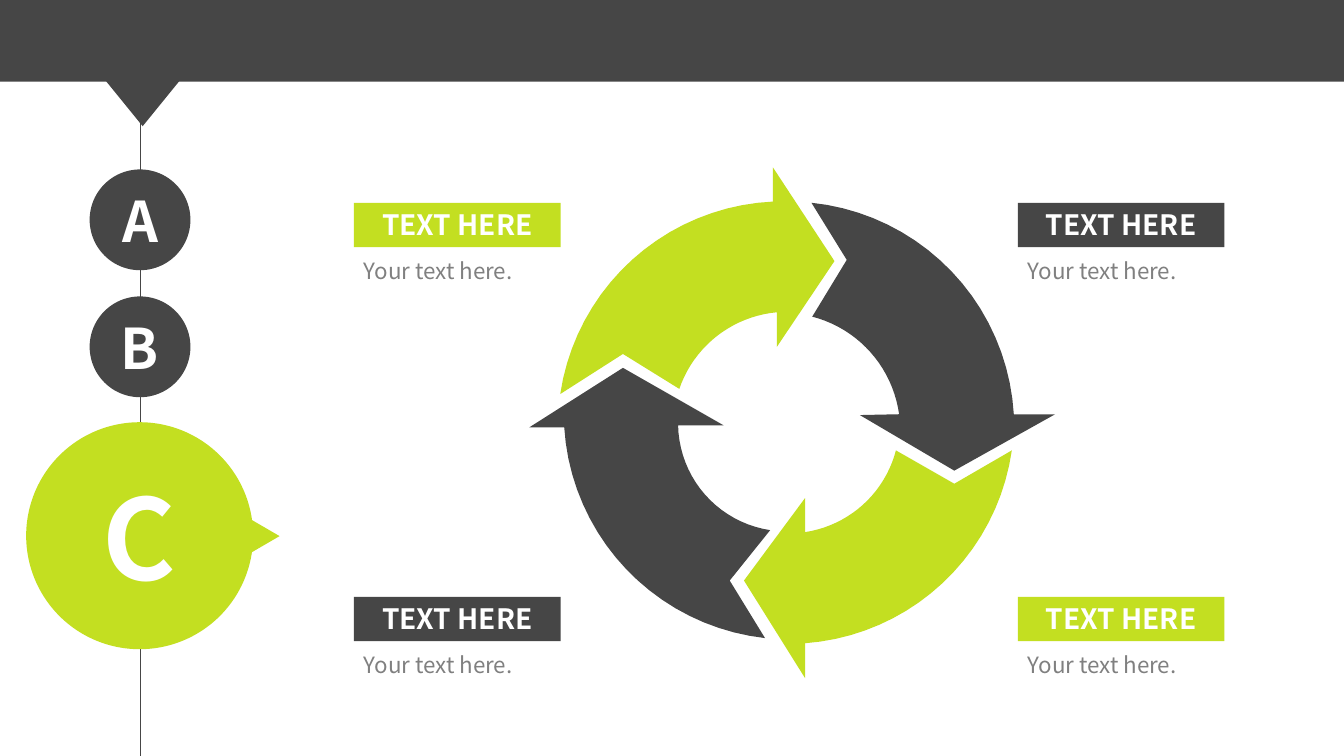
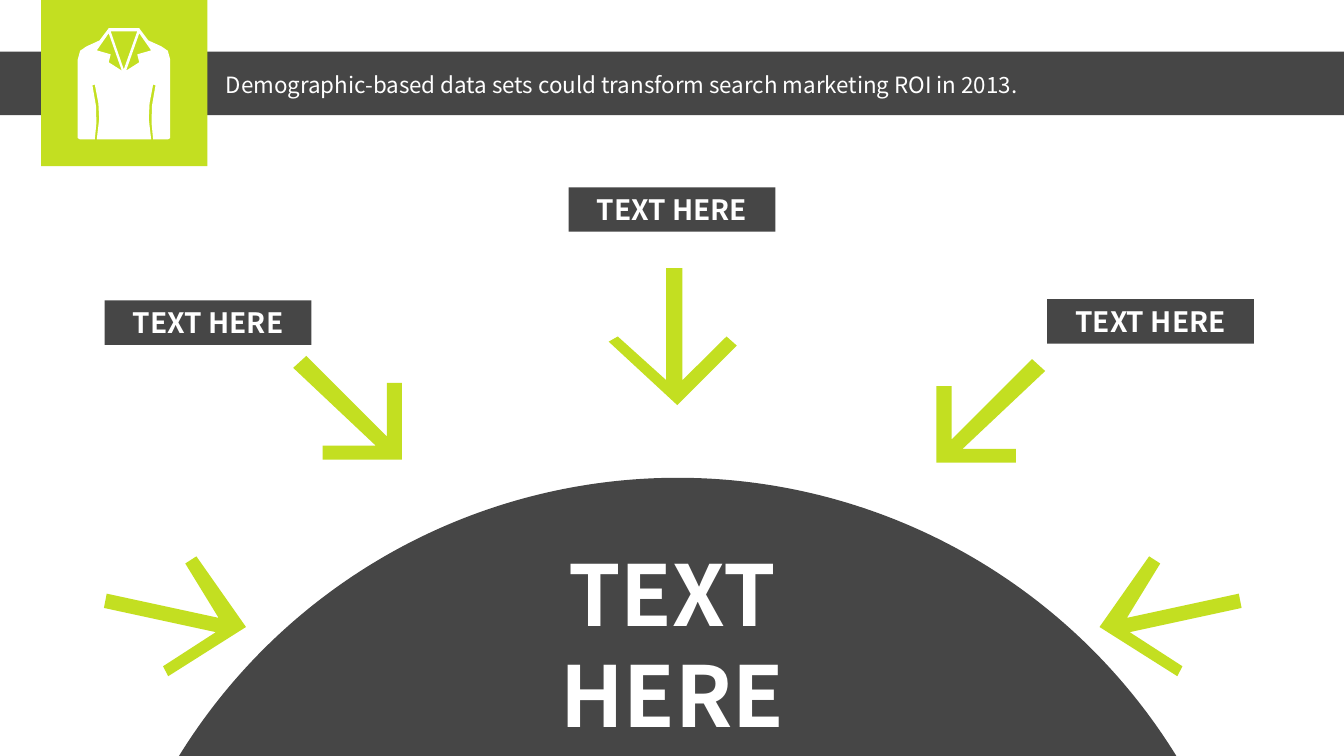
from dataclasses import dataclass
from math import atan2, cos, hypot, sin, tau

from lxml.etree import SubElement
from pptx import Presentation
from pptx.dml.color import RGBColor
from pptx.enum.shapes import MSO_CONNECTOR as Connector, MSO_SHAPE as Shape
from pptx.enum.text import MSO_ANCHOR as Anchor, PP_ALIGN as Align
from pptx.oxml.ns import qn
from pptx.util import Cm, Pt


@dataclass(frozen=True)
class Theme:
    dark: RGBColor = RGBColor(0x46, 0x46, 0x46)
    lime: RGBColor = RGBColor(0xC3, 0xDF, 0x21)
    white: RGBColor = RGBColor(0xFF, 0xFF, 0xFF)
    grey: RGBColor = RGBColor(0x80, 0x80, 0x80)
    font: str = "Noto Sans CJK SC"
    body: int = 16
    label: int = 20
    step: int = 40
    headline: int = 60
    active_step: int = 80


THEME = Theme()
WIDTH, HEIGHT = 33.87, 19.05
LABEL_WIDTH, LABEL_HEIGHT = 5.21, 1.12

RING_ARROWS = [
    (THEME.lime,
     [(17.12, 9.8), (18.08, 8.46), (19.58, 7.87)],
     [(19.58, 8.74), (21.03, 6.58), (19.48, 4.22)],
     [(19.48, 5.08), (16.1, 6.4), (14.12, 9.93)],
     (15.7, 8.92)),
    (THEME.lime,
     [(22.58, 11.35), (21.77, 12.7), (20.29, 13.41)],
     [(20.29, 12.55), (18.75, 14.63), (20.29, 17.09)],
     [(20.29, 16.21), (23.77, 14.68), (25.5, 11.35)],
     (24.05, 12.19)),
    (THEME.dark,
     [(19.41, 13.36), (17.73, 12.42), (17.09, 10.72)],
     [(18.24, 10.72), (15.7, 9.27), (13.34, 10.77)],
     [(14.22, 10.77), (15.77, 14.33), (19.28, 16.08)],
     (18.39, 14.63)),
    (THEME.dark,
     [(20.47, 7.98), (21.95, 8.89), (22.66, 10.44)],
     [(21.67, 10.46), (24.05, 11.86), (26.59, 10.44)],
     [(25.55, 10.44), (24, 6.86), (20.45, 5.11)],
     (21.34, 6.55)),
]

DOWN_ARROW = [(17.2, 6.76), (16.79, 6.76), (16.79, 9.58), (15.57, 8.48), (15.34, 8.61),
              (17.07, 10.21), (18.57, 8.71), (18.31, 8.48), (17.2, 9.58)]
DIAGONAL_ARROW = [(8.13, 11.58), (10.13, 11.58), (10.13, 9.65), (9.75, 9.65), (9.75, 11),
                  (7.72, 8.97), (7.39, 9.27), (9.47, 11.23), (8.13, 11.23)]
LOW_ARROW = [(2.69, 14.96), (2.62, 15.32), (5.44, 15.93), (4.11, 16.79), (4.24, 17.04),
             (6.2, 15.8), (4.95, 14.02), (4.67, 14.2), (5.51, 15.57)]

JACKET_HALF = [(2.74, 0.71), (2.72, 0.74), (2.51, 1.02), (2.18, 1.17), (2.02, 1.28),
               (1.96, 1.5), (1.96, 3.48), (2.01, 3.51), (2.39, 3.51), (2.43, 3.1),
               (2.42, 2.67), (2.33, 2.15), (2.39, 2.13), (2.48, 2.6), (2.5, 3),
               (2.44, 3.51)]
LAPEL = [(2.74, 1.57), (2.79, 1.37), (2.44, 1.27), (2.74, 0.84), (3.07, 1.78)]
SHIRT = [(2.79, 0.79), (3.46, 0.79), (3.12, 1.75)]
JACKET_MIRROR = 6.25


def mirror(points, total, drop=0):
    return [(total - x, y + drop) for x, y in points]


def arc(start, middle, end, steps=20):
    (ax, ay), (bx, by), (cx, cy) = start, middle, end
    a, b, c = (x * x + y * y for x, y in (start, middle, end))
    scale = 2 * (ax * (by - cy) + bx * (cy - ay) + cx * (ay - by))
    center_x = (a * (by - cy) + b * (cy - ay) + c * (ay - by)) / scale
    center_y = (a * (cx - bx) + b * (ax - cx) + c * (bx - ax)) / scale
    radius = hypot(ax - center_x, ay - center_y)
    first = atan2(ay - center_y, ax - center_x)
    sweep = atan2(cy - center_y, cx - center_x) - first
    sweep = (sweep + tau / 2) % tau - tau / 2
    angles = [first + sweep * index / steps for index in range(steps + 1)]
    return [(center_x + radius * cos(angle), center_y + radius * sin(angle))
            for angle in angles]


def paint(shape, color):
    shape.shadow.inherit = False
    shape.fill.solid()
    shape.fill.fore_color.rgb = color
    shape.line.fill.background()
    return shape


def write(shape, text, size, color, bold=False, align=Align.LEFT, anchor=Anchor.TOP):
    frame = shape.text_frame
    frame.text = text
    frame.word_wrap = True
    frame.vertical_anchor = anchor
    para = frame.paragraphs[0]
    para.alignment = align
    font = para.runs[0].font
    font.name, font.size, font.bold = THEME.font, Pt(size), bold
    font.color.rgb = color


def add_block(page, kind, left, top, width, height, color):
    shape = page.shapes.add_shape(kind, Cm(left), Cm(top), Cm(width), Cm(height))
    return paint(shape, color)


def add_text(page, left, top, width, height, text, size, color, **style):
    box = page.shapes.add_textbox(Cm(left), Cm(top), Cm(width), Cm(height))
    write(box, text, size, color, **style)


def add_outline(page, contours, color):
    first, *others = [[(Cm(x), Cm(y)) for x, y in points] for points in contours]
    builder = page.shapes.build_freeform(*first[0])
    builder.add_line_segments(first[1:])
    for points in others:
        builder.move_to(*points[0])
        builder.add_line_segments(points[1:])
    paint(builder.convert_to_shape(), color)


def add_band(page, top, height):
    add_block(page, Shape.RECTANGLE, 0, top, WIDTH, height, THEME.dark)


def add_label(page, left, top, color):
    label = add_block(page, Shape.RECTANGLE, left, top, LABEL_WIDTH, LABEL_HEIGHT, color)
    write(label, "TEXT HERE", THEME.label, THEME.white, bold=True, align=Align.CENTER)


def add_step(page, letter, left, top, diameter, size, color):
    circle = add_block(page, Shape.OVAL, left, top, diameter, diameter, color)
    write(circle, letter, size, THEME.white, bold=True, align=Align.CENTER,
          anchor=Anchor.MIDDLE)


def add_timeline(page):
    axis = 3.53
    line = page.shapes.add_connector(Connector.STRAIGHT, Cm(axis), Cm(0), Cm(axis), Cm(HEIGHT))
    line.line.color.rgb = THEME.dark
    line.line.width = Pt(0.5)
    SubElement(line._element.spPr, qn("a:effectLst"))
    pointer = add_block(page, Shape.ISOSCELES_TRIANGLE, 4.19, 12.19, 3.07, 2.64, THEME.lime)
    pointer.rotation = 90
    add_step(page, "C", 0.66, 10.64, 5.72, THEME.active_step, THEME.lime)
    for letter, top in (("A", 4.27), ("B", 7.47)):
        add_step(page, letter, 2.26, top, 2.54, THEME.step, THEME.dark)
    notch = add_block(page, Shape.ISOSCELES_TRIANGLE, 1.88, 1.07, 3.43, 2.11, THEME.dark)
    notch.rotation = 180


def add_jacket(page):
    body = JACKET_HALF + mirror(JACKET_HALF, JACKET_MIRROR)[::-1]
    contours = [body, LAPEL, SHIRT, mirror(LAPEL, JACKET_MIRROR)]
    add_outline(page, [points + points[:1] for points in contours], THEME.white)


def build_cycle(page):
    add_timeline(page)
    add_band(page, 0, 2.06)
    for color, inner, head, outer, tail in RING_ARROWS:
        add_outline(page, [arc(*inner) + head + arc(*outer) + [tail]], color)
    for left, top, color in ((8.92, 5.11, THEME.lime), (25.65, 5.11, THEME.dark),
                             (25.65, 15.04, THEME.lime), (8.92, 15.04, THEME.dark)):
        add_label(page, left, top, color)
        add_text(page, left, top + 1.24, 4.88, 0.94, "Your text here.",
                 THEME.body, THEME.grey)


def build_convergence(page):
    add_band(page, 1.3, 1.6)
    add_block(page, Shape.RECTANGLE, 1.04, 0, 4.19, 4.19, THEME.lime)
    for points in (DOWN_ARROW, DIAGONAL_ARROW, mirror(DIAGONAL_ARROW, 33.73, 0.08),
                   LOW_ARROW, mirror(LOW_ARROW, 33.91)):
        add_outline(page, [points], THEME.lime)
    for left, top in ((2.64, 7.57), (14.33, 4.72), (26.39, 7.54)):
        add_label(page, left, top, THEME.dark)
    dome = add_block(page, Shape.CHORD, 2.31, 12.04, 29.54, 29.54, THEME.dark)
    dome.adjustments[0], dome.adjustments[1] = 126.92, 197.05
    add_text(page, 12.57, 13.54, 8.74, 5.38, "TEXT HERE", THEME.headline, THEME.white,
             bold=True, align=Align.CENTER)
    add_text(page, 5.44, 1.68, 24.49, 0.94,
             "Demographic-based data sets could transform search marketing ROI in 2013.",
             THEME.body, THEME.white)
    add_jacket(page)


def main():
    deck = Presentation()
    deck.slide_width, deck.slide_height = Cm(WIDTH), Cm(HEIGHT)
    for build in (build_cycle, build_convergence):
        build(deck.slides.add_slide(deck.slide_layouts[6]))
    deck.save("out.pptx")


if __name__ == "__main__":
    main()
